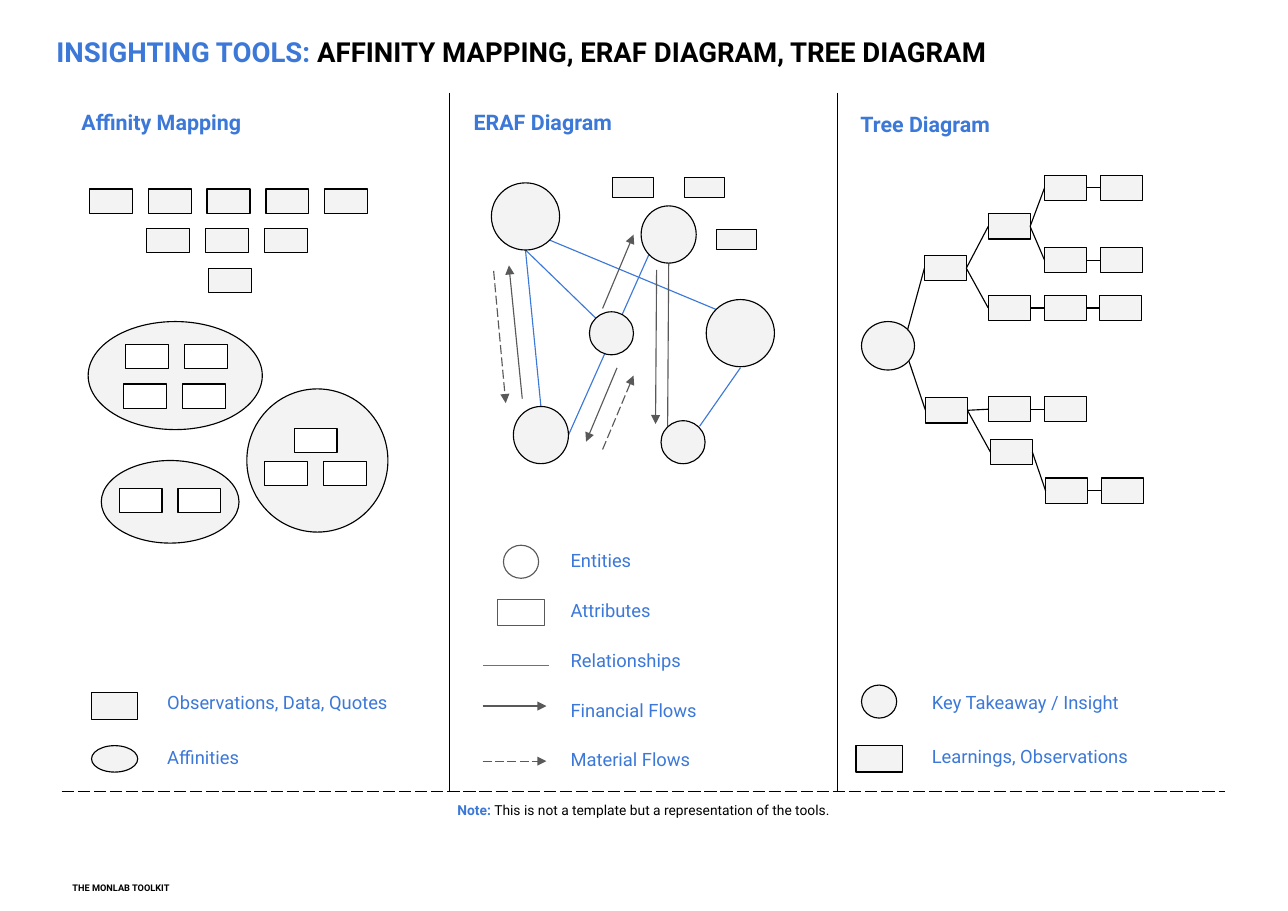
import dataclasses
import itertools
import typing

import pptx
import pptx.dml.color
import pptx.enum.dml
import pptx.enum.shapes
import pptx.enum.text
import pptx.oxml
import pptx.oxml.ns
import pptx.util
import lxml.etree

Pt = pptx.util.Pt
qn = pptx.oxml.ns.qn
ANCHOR = pptx.enum.text.MSO_ANCHOR
RECT = pptx.enum.shapes.MSO_SHAPE.RECTANGLE
OVAL = pptx.enum.shapes.MSO_SHAPE.OVAL
COLORS = {"blue": "3C78D8", "black": "000000", "gray": "595959",
          "pale": "F3F3F3", "white": "FFFFFF"}
LINE_WIDTH = 0.75


@dataclasses.dataclass
class Figure:
    kind: typing.Any
    left: float
    top: float
    width: float
    height: float
    fill: str = "pale"
    line: str = "black"


@dataclasses.dataclass
class Link:
    x1: float
    y1: float
    x2: float
    y2: float
    color: str = "gray"
    arrow: bool = False
    dashed: bool = False


@dataclasses.dataclass
class Span:
    text: str
    size: float
    color: str = "blue"
    bold: bool = False


@dataclasses.dataclass
class Label:
    left: float
    top: float
    width: float
    height: float
    spans: list[Span]
    inset: float = 7.2
    anchor: typing.Any = ANCHOR.MIDDLE


@dataclasses.dataclass
class Node:
    left: float
    top: float
    parent: str


def rgb(name: str) -> pptx.dml.color.RGBColor:
    return pptx.dml.color.RGBColor.from_string(COLORS[name])


def draw_figure(page, figure: Figure):
    box = page.shapes.add_shape(figure.kind, Pt(figure.left), Pt(figure.top),
                                Pt(figure.width), Pt(figure.height))
    box.shadow.inherit = False
    box.fill.solid()
    box.fill.fore_color.rgb = rgb(figure.fill)
    box.line.color.rgb = rgb(figure.line)
    box.line.width = Pt(LINE_WIDTH)
    return box


def draw_link(page, link: Link):
    connector = page.shapes.add_connector(
        pptx.enum.shapes.MSO_CONNECTOR.STRAIGHT,
        Pt(link.x1), Pt(link.y1), Pt(link.x2), Pt(link.y2))
    connector.line.color.rgb = rgb(link.color)
    connector.line.width = Pt(LINE_WIDTH)
    if link.dashed:
        connector.line.dash_style = pptx.enum.dml.MSO_LINE.LONG_DASH
    properties = connector._element.spPr
    if link.arrow:
        lxml.etree.SubElement(properties.find(qn("a:ln")), qn("a:tailEnd"), type="triangle")
    lxml.etree.SubElement(properties, qn("a:effectLst"))
    return connector


def write_spans(para, spans: list[Span]) -> None:
    for span in spans:
        run = para.add_run()
        run.text = span.text
        formats = {"name": "Roboto", "size": Pt(span.size), "bold": span.bold}
        for key, value in formats.items():
            setattr(run.font, key, value)
        run.font.color.rgb = rgb(span.color)


def draw_label(page, label: Label) -> None:
    frame = page.shapes.add_textbox(Pt(label.left), Pt(label.top),
                                    Pt(label.width), Pt(label.height)).text_frame
    formats = {"word_wrap": True, "vertical_anchor": label.anchor}
    formats |= {f"margin_{side}": Pt(label.inset) for side in ("left", "right", "top", "bottom")}
    for key, value in formats.items():
        setattr(frame, key, value)
    write_spans(frame.paragraphs[0], label.spans)


def set_border(cell, side: str, dash: str) -> None:
    border = lxml.etree.SubElement(cell._tc.get_or_add_tcPr(), qn(f"a:ln{side}"),
                                   w=str(Pt(LINE_WIDTH)))
    fill = lxml.etree.SubElement(border, qn("a:solidFill"))
    lxml.etree.SubElement(fill, qn("a:srgbClr"), val=COLORS["black"])
    lxml.etree.SubElement(border, qn("a:prstDash"), val=dash)


def draw_frame(page) -> None:
    table = page.shapes.add_table(2, 3, Pt(40.3), Pt(60.5), Pt(760.2), Pt(487.2)).table
    table.first_row = table.horz_banding = False
    no_grid = "{2D5ABB26-0587-4C30-8999-92F81FD0307C}"
    table._tbl.tblPr.find(qn("a:tableStyleId")).text = no_grid
    for column in table.columns:
        column.width = Pt(253.4)
    for row, height in zip(table.rows, (457, 30.2)):
        row.height = Pt(height)
    for index in range(3):
        upper, lower = table.cell(0, index), table.cell(1, index)
        if index > 0:
            set_border(upper, "L", "solid")
        if index < 2:
            set_border(upper, "R", "solid")
        set_border(upper, "B", "lgDash")
        set_border(lower, "T", "lgDash")
        for cell in (upper, lower):
            cell.fill.background()
    note = table.cell(1, 0)
    note.merge(table.cell(1, 2))
    note.margin_left = note.margin_right = note.margin_top = note.margin_bottom = Pt(7.2)
    para = note.text_frame.paragraphs[0]
    para.alignment = pptx.enum.text.PP_ALIGN.CENTER
    write_spans(para, [Span("Note: ", 9, bold=True), Span(
        "This is not a template but a representation of the tools.", 9, "black")])


def draw_affinity(page) -> None:
    for oval in ((57.6, 210.2, 113.8, 70.6), (161.3, 254.2, 92.2, 93.6), (66.2, 301, 90, 54)):
        draw_figure(page, Figure(OVAL, *oval))
    # Rows of cards: left, top, count, fill
    rows = [(58.3, 123.5, 5, "pale"), (95.8, 149.3, 3, "pale"), (136.1, 175.7, 1, "pale"),
            (82.1, 225, 2, "white"), (80.6, 251, 2, "white"), (192.2, 280.1, 1, "white"),
            (172.8, 301.7, 2, "white"), (77.8, 319.3, 2, "white")]
    for left, top, count, fill in rows:
        for index in range(count):
            draw_figure(page, Figure(RECT, left + 38.5 * index, top, 28.1, 15.8, fill))


def draw_eraf(page) -> None:
    relations = [(359.3, 157, 468, 202.3), (424.1, 166.3, 371.5, 284.4),
                 (353.5, 265.7, 343.4, 163.4), (343.4, 163.4, 389.5, 208.1),
                 (457.2, 278.6, 483.8, 240.5)]
    for ends in relations:
        draw_link(page, Link(*ends, "blue"))
    draw_link(page, Link(436.3, 278.6, 437, 172.1))
    financial = [(341.3, 260.6, 332.6, 173.5), (403.2, 240.5, 383, 288.7),
                 (393.8, 201.6, 414, 153.4), (429.1, 176.4, 428.4, 277.2)]
    material = [(393.8, 293.8, 414, 245.5), (322.6, 177.1, 330.5, 263.5)]
    for dashed, flows in ((False, financial), (True, material)):
        for ends in flows:
            draw_link(page, Link(*ends, arrow=True, dashed=dashed))
    sizes = {"large": (44.6, 43.9), "medium": (36, 37.4), "small": (28.8, 28.1)}
    entities = [(321.1, 119.5, "large"), (461.5, 195.8, "large"), (419, 134.6, "medium"),
                (335.5, 265.7, "medium"), (432, 275, "small"), (385.2, 203.8, "small")]
    for left, top, size in entities:
        draw_figure(page, Figure(OVAL, left, top, *sizes[size]))
    for left, top in ((400.3, 115.9), (447.1, 115.9), (468, 149.8)):
        draw_figure(page, Figure(RECT, left, top, 26.6, 13))


def draw_tree(page) -> None:
    width, height = 27.4, 16.6
    nodes = {
        "A": Node(604.1, 167, ""), "A1": Node(645.8, 139.7, "A"), "A2": Node(645.8, 193, "A"),
        "A11": Node(682.6, 114.5, "A1"), "A12": Node(682.6, 161.7, "A1"),
        "A21": Node(682.6, 193, "A2"), "A111": Node(719.3, 114.5, "A11"),
        "A121": Node(719.3, 161.7, "A12"), "A211": Node(718.6, 193, "A21"),
        "B": Node(604.8, 259.9, ""), "B1": Node(645.8, 259.2, "B"),
        "B2": Node(647.3, 287.3, "B"), "B11": Node(682.6, 259.2, "B1"),
        "B21": Node(683.3, 312.5, "B2"), "B211": Node(720, 312.5, "B21")}
    boxes = {name: draw_figure(page, Figure(RECT, node.left, node.top, width, height))
             for name, node in nodes.items()}
    for name, node in nodes.items():
        link = draw_link(page, Link(590.4, 225.4, node.left, node.top + height / 2, "black"))
        if node.parent:
            link.begin_connect(boxes[node.parent], 3)
        link.end_connect(boxes[name], 1)
    draw_figure(page, Figure(OVAL, 563, 210.2, 34.6, 31.7))


def draw_legends(page) -> None:
    figures = [Figure(RECT, 59.8, 452.9, 30.2, 17.3), Figure(OVAL, 59.8, 487.4, 30.2, 17.3),
               Figure(OVAL, 329, 356.4, 23, 21.6, "white", "gray"),
               Figure(RECT, 325.4, 391.7, 30.2, 17.3, "white", "gray"),
               Figure(OVAL, 563, 447.8, 23, 21.6), Figure(RECT, 559.4, 487.4, 30.2, 17.3)]
    for figure in figures:
        draw_figure(page, figure)
    draw_link(page, Link(358.6, 434.9, 315.4, 434.9, "blue"))
    for top, dashed in ((461.5, False), (497.5, True)):
        draw_link(page, Link(315.4, top, 357.1, top, arrow=True, dashed=dashed))
    # Legend columns: left, top, step, width, entries
    columns = [(102.2, 446.4, 36, 180, ["Observations, Data, Quotes", "Affinities"]),
               (365.8, 353.5, 32.6, 152, ["Entities", "Attributes", "Relationships",
                                          "Financial Flows", "Material Flows"]),
               (601.9, 446.4, 35.3, 152, ["Key Takeaway / Insight", "Learnings, Observations"])]
    for left, first, step, width, entries in columns:
        for top, entry in zip(itertools.count(first, step), entries):
            draw_label(page, Label(left, top, width, 25.2, [Span(entry, 12)]))


def main() -> None:
    deck = pptx.Presentation()
    deck.slide_width, deck.slide_height = Pt(841.68), Pt(595.44)
    page = deck.slides.add_slide(deck.slide_layouts[6])
    # Title, headings and footer
    draw_label(page, Label(27.4, 23, 718.6, 31, [
        Span("INSIGHTING TOOLS:", 18, bold=True),
        Span(" AFFINITY MAPPING, ERAF DIAGRAM, TREE DIAGRAM", 18, "black", True)],
        9.4, ANCHOR.BOTTOM))
    headings = [(46.1, 67, "Affinity Mapping"), (302.4, 67, "ERAF Diagram"),
                (555.1, 68.4, "Tree Diagram")]
    for left, top, heading in headings:
        draw_label(page, Label(left, top, 185, 25.2, [Span(heading, 14, bold=True)]))
    draw_label(page, Label(40.3, 566.6, 332, 20.9, [
        Span("THE MONLAB TOOLKIT", 6, "black", True)], anchor=ANCHOR.BOTTOM))
    # Three panels and their legends
    draw_frame(page)
    for draw in (draw_affinity, draw_eraf, draw_tree, draw_legends):
        draw(page)
    deck.save("out.pptx")


if __name__ == "__main__":
    main()
